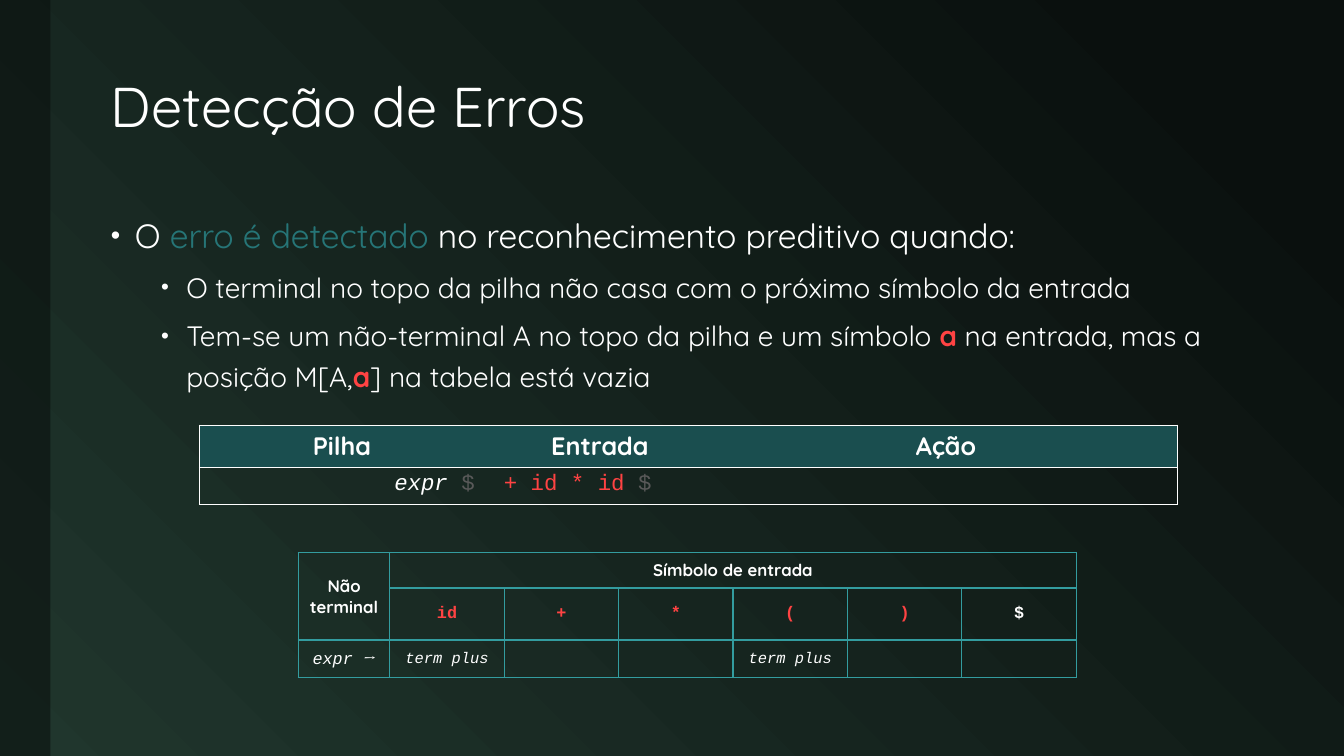
from lxml.etree import SubElement
from pptx import Presentation
from pptx.dml.color import RGBColor
from pptx.enum.shapes import MSO_SHAPE
from pptx.enum.text import MSO_ANCHOR, PP_ALIGN
from pptx.oxml.ns import qn
from pptx.util import Inches, Pt

COLORS = {
    "night": "0A100E", "forest": "20362D", "white": "FFFFFF", "teal": "267577",
    "header": "1A4E4F", "line": "339C9F", "red": "FF4343", "gray": "595959",
}
WIDTH, HEIGHT = Inches(13.33), Inches(7.5)
UNIT = HEIGHT / 90  # square grid, 90 rows high
NO_STYLE = "{2D5ABB26-0587-4C30-8999-92F81FD0307C}"

# Text formats
HEADING = {"name": "Quicksand", "size": 40, "color": "white"}
BODY = {**HEADING, "size": 24}
SUBITEM = {**HEADING, "size": 20}
STACK_HEADER = {**HEADING, "size": 18, "bold": True}
STACK_CODE = {"name": "Courier New", "size": 16, "color": "white"}
PARSE_HEADER = {**STACK_HEADER, "size": 12}
TERMINAL = {**PARSE_HEADER, "name": "Courier New", "color": "red"}
RULE = {"name": "Courier New", "size": 11, "color": "white", "italic": True}
ERROR = {"color": "red", "bold": True}


def grid(*cells):
    return [round(cell * UNIT) for cell in cells]


def rgb(name):
    return RGBColor.from_string(COLORS[name])


def set_values(target, **values):
    for key, value in values.items():
        setattr(target, key, value)


def write_runs(paragraph, runs, base):
    """Each run is a text and the values that differ from the base format."""
    for text, changes in runs:
        run = paragraph.add_run()
        run.text = text
        for key, value in {**base, **changes}.items():
            if key == "color":
                run.font.color.rgb = rgb(value)
            else:
                setattr(run.font, key, Pt(value) if key == "size" else value)


def set_background(slide):
    fill = slide.background.fill
    fill.gradient()
    fill.gradient_angle = 225
    for stop, position, color in zip(fill.gradient_stops, (0.1, 1), ("night", "forest")):
        stop.position = position
        stop.color.rgb = rgb(color)


def add_side_band(slide):
    band = slide.shapes.add_shape(MSO_SHAPE.RECTANGLE, *grid(0, 0, 6, 90))
    band.shadow.inherit = False
    band.line.fill.background()
    band.fill.solid()
    band.fill.fore_color.rgb = rgb("night")
    color = band.fill._xPr.find(".//" + qn("a:srgbClr"))
    SubElement(color, qn("a:alpha"), val="60000")


def write_title(slide, text):
    title = slide.shapes.title
    title.left, title.top, title.width, title.height = grid(12, 5, 139.8, 16)
    set_values(title.text_frame, word_wrap=True, vertical_anchor=MSO_ANCHOR.MIDDLE)
    paragraph = title.text_frame.paragraphs[0]
    set_values(paragraph, alignment=PP_ALIGN.LEFT, line_spacing=0.9)
    write_runs(paragraph, [(text, {})], HEADING)


def add_bullets(slide, items):
    frame = slide.shapes.add_textbox(*grid(12, 24, 139.8, 58)).text_frame
    frame.word_wrap = True
    for index, (level, runs) in enumerate(items):
        paragraph = frame.add_paragraph() if index else frame.paragraphs[0]
        margin, hanging = ((0.24, 0.24), (0.75, 0.25))[level]
        properties = paragraph._p.get_or_add_pPr()
        properties.set("marL", str(Inches(margin)))
        properties.set("indent", str(-Inches(hanging)))
        SubElement(properties, qn("a:buSzPct"), val="80000")
        SubElement(properties, qn("a:buFont"), typeface="Arial")
        SubElement(properties, qn("a:buChar"), char="•")
        set_values(paragraph, level=level, line_spacing=1.2)
        if index:
            paragraph.space_before = Pt(6)
        write_runs(paragraph, runs, SUBITEM if level else BODY)


def add_plain_table(slide, left, top, columns, rows):
    frame = slide.shapes.add_table(
        len(rows), len(columns), *grid(left, top, sum(columns), sum(rows)))
    table = frame.table
    set_values(table, first_row=False, horz_banding=False)
    table._tbl.tblPr.find(qn("a:tableStyleId")).text = NO_STYLE
    for column, width in zip(table.columns, grid(*columns)):
        column.width = width
    for row, height in zip(table.rows, grid(*rows)):
        row.height = height
    return table


def write_cell(cell, runs, base, alignment=PP_ALIGN.CENTER, anchor=MSO_ANCHOR.MIDDLE):
    cell.vertical_anchor = anchor
    paragraph = cell.text_frame.paragraphs[0]
    paragraph.alignment = alignment
    write_runs(paragraph, runs, base)
    if not runs:
        SubElement(paragraph._p, qn("a:endParaRPr"), sz=str(base["size"] * 100))


def style_cell(cell, borders, color, fill=None):
    """Borders map a side (L, R, T, B) to a width in points."""
    properties = cell._tc.get_or_add_tcPr()
    for side in "LRTB":
        if side in borders:
            line = SubElement(properties, qn(f"a:ln{side}"), w=str(Pt(borders[side])))
            solid = SubElement(line, qn("a:solidFill"))
            SubElement(solid, qn("a:srgbClr"), val=COLORS[color])
    if fill:
        cell.fill.solid()
        cell.fill.fore_color.rgb = rgb(fill)
    else:
        cell.fill.background()


def add_stack_table(slide):
    table = add_plain_table(slide, 23.7, 50.6, [34, 27.4, 55], [5, 4.5])
    for column, text in enumerate(("Pilha", "Entrada", "Ação")):
        write_cell(table.cell(0, column), [(text, {})], STACK_HEADER, anchor=MSO_ANCHOR.TOP)
    end_mark = ("$", {"color": "gray"})
    contents = (
        [("expr ", {"italic": True}), end_mark],
        [("+ id * id ", {"color": "red"}), end_mark],
        [],
    )
    for column, runs in enumerate(contents):
        write_cell(table.cell(1, column), runs, STACK_CODE, PP_ALIGN.RIGHT, MSO_ANCHOR.TOP)
    table.cell(1, 1).margin_right = Inches(0.63)
    outer = ({"L": 0.5}, {}, {"R": 0.5})
    for row, fill in enumerate(("header", None)):
        for column, sides in enumerate(outer):
            style_cell(table.cell(row, column), {**sides, "T": 0.5, "B": 0.5}, "white", fill)


def add_parse_table(slide):
    table = add_plain_table(slide, 35.5, 65.8, [10.9] + [13.62] * 6, [4.2, 6.2, 4.5])
    for row in range(3):
        for column in range(7):
            borders = dict.fromkeys("LRTB", 1)
            if row:
                borders["B" if row == 1 else "T"] = 2.25 if column else 1
            if row == 2:
                borders["B"] = 1
            style_cell(table.cell(row, column), borders, "line")

    # Headers
    table.cell(0, 0).merge(table.cell(1, 0))
    table.cell(0, 1).merge(table.cell(0, 6))
    write_cell(table.cell(0, 0), [("Não terminal", {})], PARSE_HEADER)
    write_cell(table.cell(0, 1), [("Símbolo de entrada", {})], PARSE_HEADER)
    for column, symbol in enumerate("id + * ( ) $".split(), 1):
        changes = {"color": "white"} if symbol == "$" else {}
        write_cell(table.cell(1, column), [(symbol, changes)], TERMINAL)

    # Productions
    nonterminal = [("expr ", {"size": 12}), ("→", {"size": 12, "name": "Cambria"})]
    production = [("term plus", {})]
    for column, runs in enumerate((nonterminal, production, [], [], production, [], [])):
        write_cell(table.cell(2, column), runs, RULE)


def main():
    presentation = Presentation()
    set_values(presentation, slide_width=WIDTH, slide_height=HEIGHT)
    slide = presentation.slides.add_slide(presentation.slide_layouts[5])
    set_background(slide)
    add_side_band(slide)
    write_title(slide, "Detecção de Erros")
    add_bullets(slide, [
        (0, [("O ", {}), ("erro é detectado ", {"color": "teal"}),
             ("no reconhecimento preditivo quando:", {})]),
        (1, [("O terminal no topo da pilha não casa com o próximo símbolo da entrada", {})]),
        (1, [("Tem-se um não-terminal A no topo da pilha e um símbolo ", {}), ("a", ERROR),
             (" na entrada, mas a posição M[A,", {}), ("a", ERROR),
             ("] na tabela está vazia", {})]),
    ])
    add_stack_table(slide)
    add_parse_table(slide)
    presentation.save("out.pptx")


if __name__ == "__main__":
    main()
